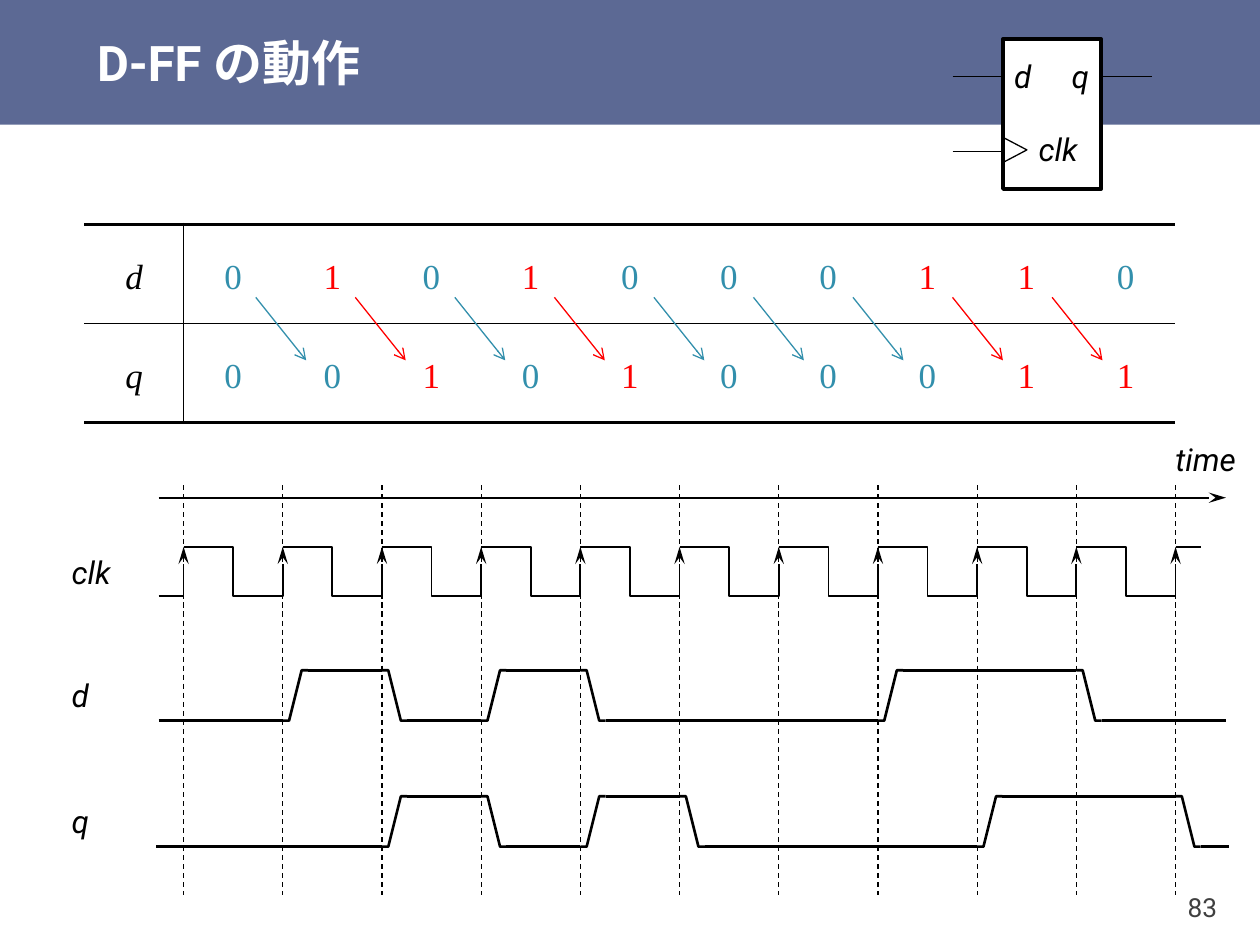
from dataclasses import dataclass

from lxml import etree
from pptx import Presentation
from pptx.dml.color import RGBColor
from pptx.enum.dml import MSO_LINE
from pptx.enum.shapes import MSO_CONNECTOR, MSO_SHAPE
from pptx.enum.text import MSO_ANCHOR, PP_ALIGN
from pptx.oxml.ns import qn
from pptx.util import Inches, Pt


@dataclass(frozen=True)
class Theme:
    banner: str = "5C6994"
    ink: str = "000000"
    paper: str = "FFFFFF"
    low: str = "328FAC"
    high: str = "FF0000"
    number: str = "404040"
    sans: str = "Roboto"
    serif: str = "Times New Roman"
    title_size: int = 28
    table_size: int = 20
    label_size: int = 18
    number_size: int = 15


T = Theme()
NO_GRID_STYLE = "{2D5ABB26-0587-4C30-8999-92F81FD0307C}"
OPEN_HEAD = {"type": "arrow"}
STEALTH_HEAD = {"type": "stealth", "w": "med", "len": "lg"}

D = [0, 1, 0, 1, 0, 0, 0, 1, 1, 0]
Q = [0] + D[:-1]
LEFT, WIDTH = 0.67, 8.66
STEP = WIDTH / (len(D) + 1)
TICKS = [LEFT + STEP * (i + 1) for i in range(len(D) + 1)]


def rgb(value):
    return RGBColor.from_string(value)


def bit_color(bit):
    return T.high if bit else T.low


def set_font(font, color, **values):
    for name, value in values.items():
        setattr(font, name, value)
    font.color.rgb = rgb(color)


def set_frame(tf, margins, **values):
    sides = ("margin_left", "margin_top", "margin_right", "margin_bottom")
    values.update(zip(sides, map(Inches, margins)))
    for name, value in values.items():
        setattr(tf, name, value)


def set_line(shape, width, color=T.ink, dash=None, head=None):
    """Style an outline, with an optional arrowhead at its end, and drop the shadow."""
    line = shape.line
    line.color.rgb = rgb(color)
    line.width = Pt(width)
    if dash:
        line.dash_style = dash
    sp_pr = shape._element.spPr
    if head:
        etree.SubElement(sp_pr.find(qn("a:ln")), qn("a:tailEnd"), head)
    etree.SubElement(sp_pr, qn("a:effectLst"))


def add_line(s, x1, y1, x2, y2, width, **style):
    line = s.shapes.add_connector(
        MSO_CONNECTOR.STRAIGHT, *map(Inches, (x1, y1, x2, y2)))
    set_line(line, width, **style)


def add_path(s, points, width, **style):
    first, *rest = [(Inches(x), Inches(y)) for x, y in points]
    builder = s.shapes.build_freeform(*first, scale=1.0)
    builder.add_line_segments(rest, close=False)
    shape = builder.convert_to_shape()
    shape.fill.background()
    set_line(shape, width, **style)


def add_rect(s, x, y, w, h, color):
    shape = s.shapes.add_shape(MSO_SHAPE.RECTANGLE, *map(Inches, (x, y, w, h)))
    shape.fill.solid()
    shape.fill.fore_color.rgb = rgb(color)
    shape.line.fill.background()
    return shape


def add_text(s, text, x, y, w, h, align=PP_ALIGN.LEFT, color=T.ink,
             size=T.label_size, italic=True, margins=(0.1, 0.05, 0.1, 0.05)):
    tf = s.shapes.add_textbox(*map(Inches, (x, y, w, h))).text_frame
    set_frame(tf, margins, word_wrap=True, vertical_anchor=MSO_ANCHOR.MIDDLE)
    p = tf.paragraphs[0]
    p.alignment = align
    r = p.add_run()
    r.text = text
    set_font(r.font, color, name=T.sans, size=Pt(size), italic=italic)


def add_title(s, text):
    banner = add_rect(s, 0, 0, 10, 0.99, T.banner)
    banner.shadow.inherit = False
    s.shapes._spTree.insert(2, banner._element)
    title = s.shapes.title
    box = dict(left=LEFT, top=0, width=9.33, height=0.99)
    for name, value in box.items():
        setattr(title, name, Inches(value))
    tf = title.text_frame
    set_frame(tf, (0.1, 0, 0.1, 0), vertical_anchor=MSO_ANCHOR.MIDDLE)
    p = tf.paragraphs[0]
    p.alignment = PP_ALIGN.LEFT
    r = p.add_run()
    r.text = text
    set_font(r.font, T.paper, name=T.sans, size=Pt(T.title_size), bold=True)


def set_borders(cell, **widths):
    """Draw cell borders; sides are given in schema order L, R, T, B."""
    tc_pr = cell._tc.get_or_add_tcPr()
    for i, (side, width) in enumerate(widths.items()):
        ln = etree.Element(qn(f"a:ln{side}"), w=str(Pt(width)))
        fill = etree.SubElement(ln, qn("a:solidFill"))
        etree.SubElement(fill, qn("a:srgbClr"), val=T.ink)
        tc_pr.insert(i, ln)


def add_bit_table(s):
    rows = [["d", *D], ["q", *Q]]
    frame = s.shapes.add_table(
        2, len(rows[0]), *map(Inches, (LEFT, 1.78, WIDTH, 2 * STEP)))
    table = frame.table
    table.first_row = table.horz_banding = False
    table._tbl.tblPr.find(qn("a:tableStyleId")).text = NO_GRID_STYLE
    for col in table.columns:
        col.width = Inches(STEP)
    for i, values in enumerate(rows):
        for j, value in enumerate(values):
            cell = table.cell(i, j)
            cell.fill.background()
            cell.vertical_anchor = MSO_ANCHOR.MIDDLE
            p = cell.text_frame.paragraphs[0]
            p.alignment, p.line_spacing = PP_ALIGN.CENTER, 1.2
            r = p.add_run()
            r.text = str(value)
            set_font(r.font, bit_color(value) if j else T.ink, name=T.serif,
                     size=Pt(T.table_size), italic=j == 0)
            divider = {} if j else {"R": 1}
            set_borders(cell, **divider, T=1 if i else 2.25, B=2.25 if i else 1)


def add_shift_arrows(s):
    for i, bit in enumerate(D[:-1]):
        x = 2.03 + 0.79 * i
        add_line(s, x, 2.36, x + 0.4, 2.86, 0.75, color=bit_color(bit), head=OPEN_HEAD)


def add_time_axis(s):
    for x in TICKS:
        add_line(s, x, 3.85, x, 7.1, 0.75, dash=MSO_LINE.DASH)
    add_line(s, 1.26, 3.95, 9.73, 3.95, 1, head=STEALTH_HEAD)
    add_text(s, "time", 9.23, 3.45, 0.65, 0.39, margins=(0.1, 0.05, 0, 0.05))


def add_clock(s, top, bottom):
    add_text(s, "clk", 0.47, top, 0.59, 0.39)
    start = TICKS[0]
    add_path(s, [(1.26, bottom), (start, bottom), (start, top)], 0.75, head=STEALTH_HEAD)
    for x, end in zip(TICKS, TICKS[1:]):
        mid = (x + end) / 2
        add_path(s, [(x, top), (mid, top), (mid, bottom), (end, bottom), (end, top)],
                 1, head=STEALTH_HEAD)
    add_line(s, TICKS[-1], top, 9.53, top, 1)


def add_signal(s, name, bits, top, start, end):
    """Draw a labelled waveform: level lines joined by an edge after each change."""
    add_text(s, name, 0.47, top, 0.39, 0.39)
    levels = [top + 0.4, top]
    for x, old, new in zip(TICKS[1:], bits, bits[1:]):
        if old != new:
            before, after = levels[old], levels[new]
            add_line(s, start, before, x, before, 1.5)
            start = x + 0.2
            add_path(s, [(x, before), (x + 0.05, before),
                         (x + 0.15, after), (start, after)], 1.5)
    add_line(s, start, levels[bits[-1]], end, levels[bits[-1]], 1.5)


def add_flip_flop(s):
    add_line(s, 7.56, 0.61, 9.14, 0.61, 0.75)
    body = add_rect(s, 7.96, 0.31, 0.78, 1.19, T.paper)
    set_line(body, 2)
    add_text(s, "q", 8.35, 0.41, 0.39, 0.39, PP_ALIGN.RIGHT)
    add_text(s, "d", 7.95, 0.41, 0.39, 0.39)
    add_path(s, [(7.96, 1.09), (8.15, 1.19), (7.96, 1.29)], 0.75)
    add_line(s, 7.56, 1.2, 7.95, 1.2, 0.75)
    add_text(s, "clk", 7.86, 0.99, 0.79, 0.39, PP_ALIGN.RIGHT)


def main():
    prs = Presentation()
    prs.slide_width, prs.slide_height = Inches(10), Inches(7.5)
    s = prs.slides.add_slide(prs.slide_layouts[5])
    add_title(s, "D-FF の動作")
    add_text(s, "83", 8.94, 6.9, 0.79, 0.6, PP_ALIGN.RIGHT, T.number,
             T.number_size, False, (0.07, 0.04, 0.07, 0.04))
    add_bit_table(s)
    add_shift_arrows(s)
    add_time_axis(s)
    add_clock(s, 4.34, 4.73)
    add_signal(s, "d", D, 5.32, 1.26, 9.73)
    add_signal(s, "q", Q + D[-1:], 6.32, 1.24, 9.75)
    add_flip_flop(s)
    prs.save("out.pptx")


if __name__ == "__main__":
    main()
